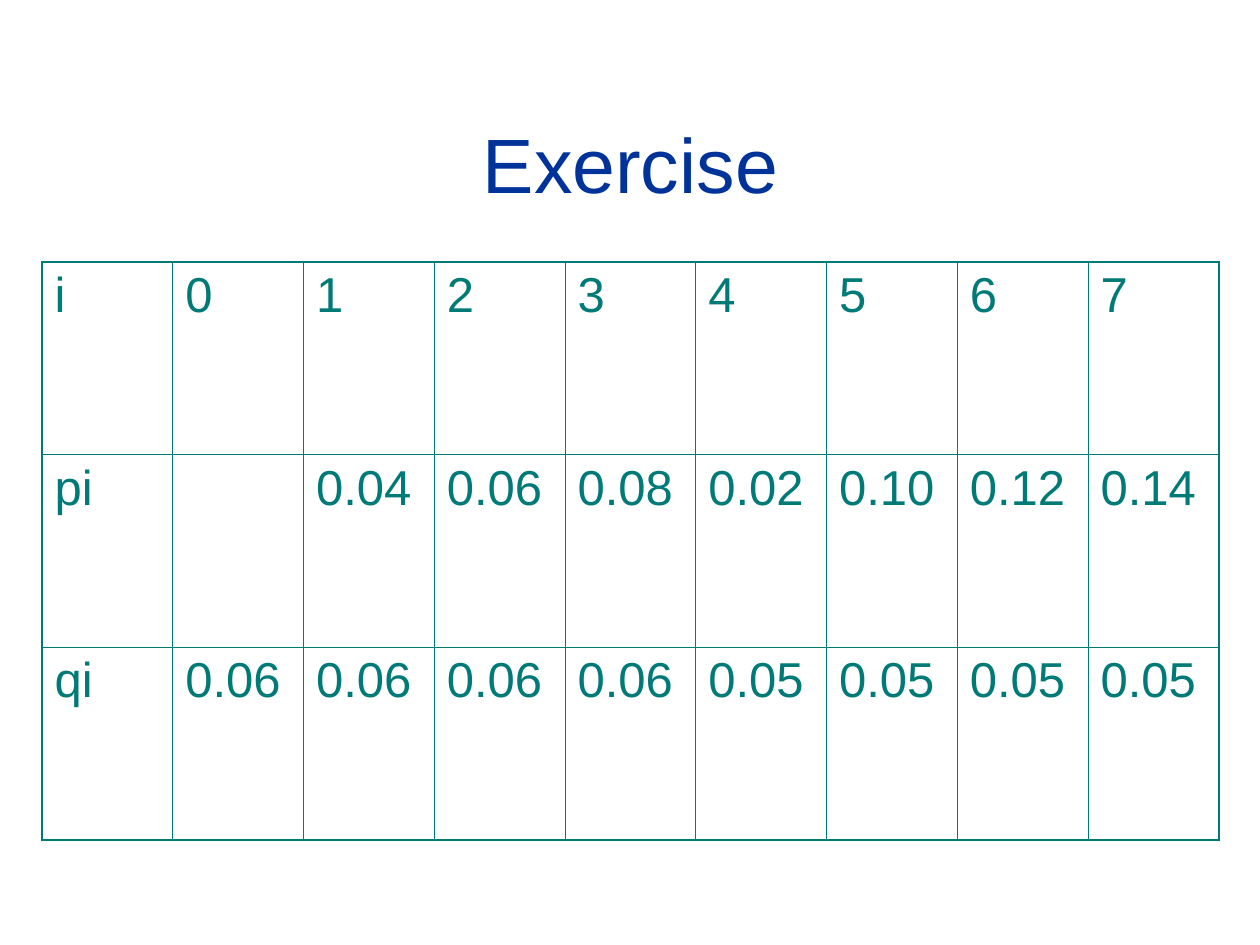
from lxml import etree
from pptx import Presentation
from pptx.dml.color import RGBColor
from pptx.enum.text import MSO_ANCHOR, PP_ALIGN
from pptx.oxml.ns import qn
from pptx.util import Pt

EMU_PER_PX = 914400 / 126
CENTER, LEFT = PP_ALIGN.CENTER, PP_ALIGN.LEFT
MIDDLE = MSO_ANCHOR.MIDDLE
FONT = "Arial"
COLORS = {"title": "003399", "table": "007A77"}
THIN, THICK = Pt(0.45), Pt(1.08)
ROWS = [
    ["i", "0", "1", "2", "3", "4", "5", "6", "7"],
    ["pi", "", "0.04", "0.06", "0.08", "0.02", "0.10", "0.12", "0.14"],
    ["qi", "0.06", "0.06", "0.06", "0.06", "0.05", "0.05", "0.05", "0.05"],
]


def px(n):
    """Turn pixels into EMU."""
    return round(n * EMU_PER_PX)


def set_text(tf, text, size, color, align=LEFT, before=0):
    """Write one formatted paragraph into a text frame."""
    p = tf.paragraphs[0]
    p.alignment = align
    p.space_before = Pt(before)
    r = p.add_run()
    r.text = text
    r.font.name = FONT
    r.font.size = Pt(size)
    r.font.color.rgb = RGBColor.from_string(COLORS[color])


def set_borders(cell, widths):
    """Draw the left, right, top and bottom borders of a cell."""
    tc_pr = cell._tc.get_or_add_tcPr()
    for i, (side, width) in enumerate(zip("LRTB", widths)):
        ln = etree.Element(qn(f"a:ln{side}"), w=str(width))
        fill = etree.SubElement(ln, qn("a:solidFill"))
        etree.SubElement(fill, qn("a:srgbClr"), val=COLORS["table"])
        tc_pr.insert(i, ln)


def add_title(s, text):
    """Place and fill the title placeholder."""
    sp = s.shapes.title
    sp.left, sp.top, sp.width, sp.height = px(42), px(84), px(1177), px(158)
    sp.text_frame.vertical_anchor = MIDDLE
    set_text(sp.text_frame, text, 44, "title", align=CENTER)


def add_grid(s, rows):
    """Add an unfilled table with a thicker outer border."""
    n_rows, n_cols = len(rows), len(rows[0])
    table = s.shapes.add_table(
        n_rows, n_cols, px(42), px(262), px(1177), px(578)).table
    table.first_row = table.horz_banding = False
    for i, row in enumerate(rows):
        for j, text in enumerate(row):
            cell = table.cell(i, j)
            cell.fill.background()
            edges = (j == 0, j == n_cols - 1, i == 0, i == n_rows - 1)
            set_borders(cell, [THICK if edge else THIN for edge in edges])
            if text:
                set_text(cell.text_frame, text, 28, "table", before=7)


def main():
    """Build the exercise slide."""
    prs = Presentation()
    prs.slide_width, prs.slide_height = px(1260), px(945)
    s = prs.slides.add_slide(prs.slide_layouts[5])
    add_title(s, "Exercise")
    add_grid(s, ROWS)
    prs.save("out.pptx")


if __name__ == "__main__":
    main()
